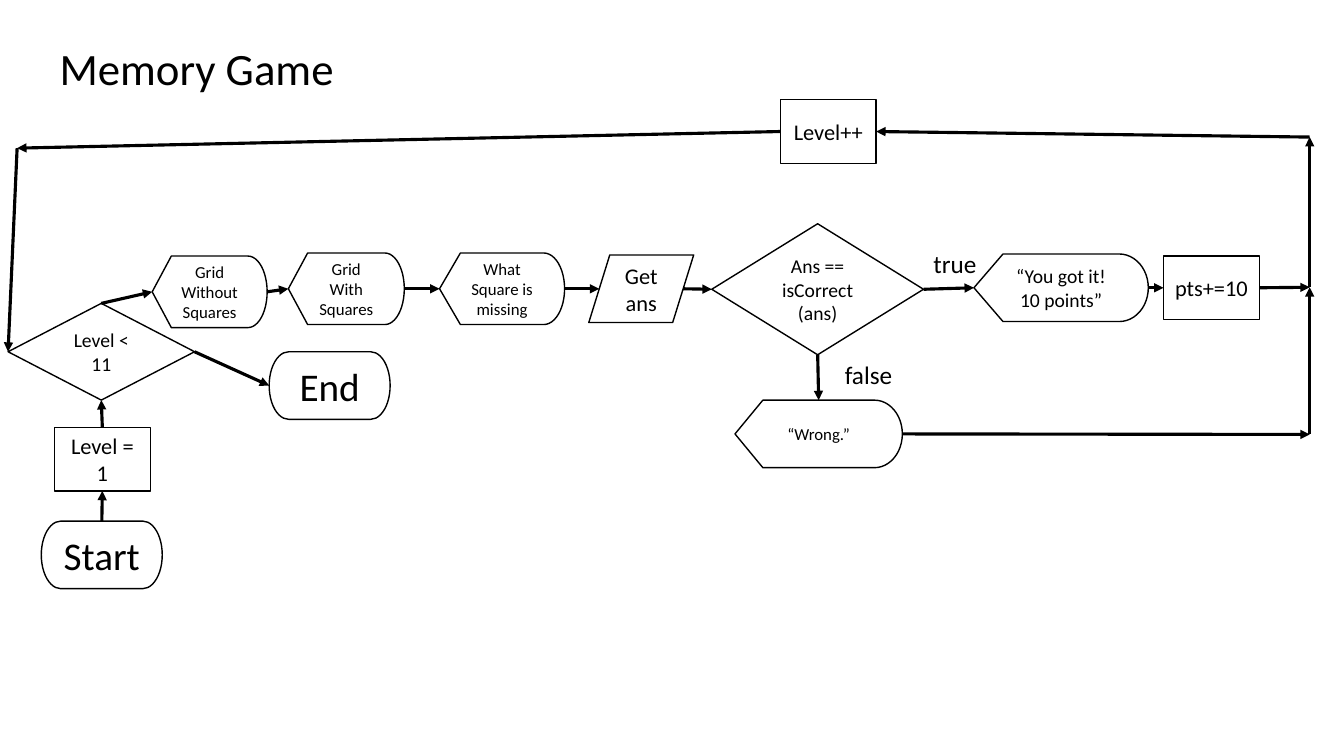
import pptx
import pptx.util
import pptx.dml.color
import pptx.enum.shapes
import pptx.enum.text
import pptx.oxml
import pptx.oxml.ns

Inches = pptx.util.Inches
Kind = pptx.enum.shapes.MSO_SHAPE
Align = pptx.enum.text.PP_ALIGN
Anchor = pptx.enum.text.MSO_ANCHOR

COLOURS = {"ink": "000000", "paper": "FFFFFF"}
FONT = "Calibri"
TITLE = ("Memory Game", 32, (0.49, 0.35, 3.13, 0.64))

KINDS = {
    "decision": Kind.FLOWCHART_DECISION,
    "terminator": Kind.FLOWCHART_TERMINATOR,
    "data": Kind.FLOWCHART_DATA,
    "display": Kind.FLOWCHART_DISPLAY,
    "process": Kind.FLOWCHART_PROCESS,
}
NODES = {
    "start": ("terminator", "Start", 28, (0.41, 5.17, 1.2, 0.67)),
    "first level": ("process", "Level = 1", 16, (0.54, 4.24, 0.95, 0.63)),
    "level check": ("decision", "Level < 11", 14, (0.08, 3.01, 1.85, 0.96)),
    "end": ("terminator", "End", 28, (2.67, 3.49, 1.2, 0.67)),
    "empty grid": ("display", "Grid Without Squares", 12, (1.51, 2.54, 1.14, 0.71)),
    "full grid": ("display", "Grid With Squares", 12, (2.86, 2.51, 1.15, 0.71)),
    "question": ("display", "What Square is missing", 12, (4.36, 2.51, 1.24, 0.71)),
    "answer": ("data", "Get ans", 16, (5.84, 2.53, 1.04, 0.67)),
    "answer check": ("decision", "Ans == isCorrect (ans)", 14, (7.06, 2.22, 2.1, 1.3)),
    "right": ("display", "“You got it! 10 points”", 14, (9.66, 2.52, 1.73, 0.67)),
    "wrong": ("display", "“Wrong.”", 12, (7.29, 3.97, 1.66, 0.67)),
    "points": ("process", "pts+=10", 16, (11.54, 2.54, 0.95, 0.63)),
    "next level": ("process", "Level++", 16, (7.74, 0.99, 0.95, 0.63)),
}
LABELS = [
    ("true", 18, (9.16, 2.41, 0.63, 0.4)),
    ("false", 18, (8.28, 3.52, 0.68, 0.4)),
]
CORNERS = {
    "lower right": (12.99, 4.31),
    "merge": (12.99, 2.85),
    "upper right": (12.99, 1.36),
    "upper left": (0.17, 1.47),
}
ARROWS = [
    ("start", "top", "first level", "bottom"),
    ("first level", "top", "level check", "bottom"),
    ("level check", "top", "empty grid", "left"),
    ("level check", "right", "end", "left"),
    ("empty grid", "right", "full grid", "left"),
    ("full grid", "right", "question", "left"),
    ("question", "right", "answer", "left"),
    ("answer", "right", "answer check", "left"),
    ("answer check", "right", "right", "left"),
    ("answer check", "bottom", "wrong", "top"),
    ("right", "right", "points", "left"),
    ("points", "right", "merge", None),
    ("wrong", "right", "lower right", None),
    ("lower right", None, "merge", None),
    ("merge", None, "upper right", None),
    ("upper right", None, "next level", "right"),
    ("next level", "left", "upper left", None),
    ("upper left", None, "level check", "left"),
]
SIDES = {"top": (0.5, 0), "left": (0, 0.5), "bottom": (0.5, 1), "right": (1, 0.5)}
SITES = list(SIDES)
DATA_SLANT = 0.1


def colour(name):
    return pptx.dml.color.RGBColor.from_string(COLOURS[name])


def write(shape, text, size, align, anchor, wrap=True):
    frame = shape.text_frame
    frame.word_wrap = wrap
    frame.vertical_anchor = anchor
    para = frame.paragraphs[0]
    para.alignment = align
    span = para.add_run()
    span.text = text
    span.font.size = pptx.util.Pt(size)
    span.font.name = FONT
    span.font.color.rgb = colour("ink")


def add_node(page, kind, text, size, place):
    shape = page.shapes.add_shape(KINDS[kind], *map(Inches, place))
    shape.shadow.inherit = False
    shape.fill.solid()
    shape.fill.fore_color.rgb = colour("paper")
    shape.line.color.rgb = colour("ink")
    shape.line.width = pptx.util.Pt(1)
    write(shape, text, size, Align.CENTER, Anchor.MIDDLE)
    return shape


def point(name, side):
    if name in CORNERS:
        return CORNERS[name]
    kind, _, _, (left, top, width, height) = NODES[name]
    across, down = SIDES[side]
    if kind == "data":
        across = DATA_SLANT + across * (1 - 2 * DATA_SLANT)
    return left + across * width, top + down * height


def can_glue(name):
    return name in NODES and NODES[name][0] != "data"


def add_arrow(page, shapes, source, source_side, target, target_side):
    ends = point(source, source_side) + point(target, target_side)
    arrow = page.shapes.add_connector(
        pptx.enum.shapes.MSO_CONNECTOR.STRAIGHT, *map(Inches, ends))
    if can_glue(source):
        arrow.begin_connect(shapes[source], SITES.index(source_side))
    if can_glue(target):
        arrow.end_connect(shapes[target], SITES.index(target_side))
    arrow.line.color.rgb = colour("ink")
    arrow.line.width = pptx.util.Pt(2.25)
    head = pptx.oxml.parse_xml(
        '<a:tailEnd %s type="triangle"/>' % pptx.oxml.ns.nsdecls("a"))
    arrow.line._get_or_add_ln().append(head)
    effects = pptx.oxml.parse_xml("<a:effectLst %s/>" % pptx.oxml.ns.nsdecls("a"))
    arrow._element.spPr.append(effects)


deck = pptx.Presentation()
deck.slide_width, deck.slide_height = Inches(13.33), Inches(7.5)
page = deck.slides.add_slide(deck.slide_layouts[5])

text, size, place = TITLE
title = page.shapes.title
title.left, title.top, title.width, title.height = map(Inches, place)
write(title, text, size, Align.LEFT, Anchor.TOP)

shapes = {name: add_node(page, *node) for name, node in NODES.items()}
for arrow in ARROWS:
    add_arrow(page, shapes, *arrow)
for text, size, place in LABELS:
    box = page.shapes.add_textbox(*map(Inches, place))
    write(box, text, size, Align.LEFT, Anchor.TOP, wrap=False)

deck.save("out.pptx")
